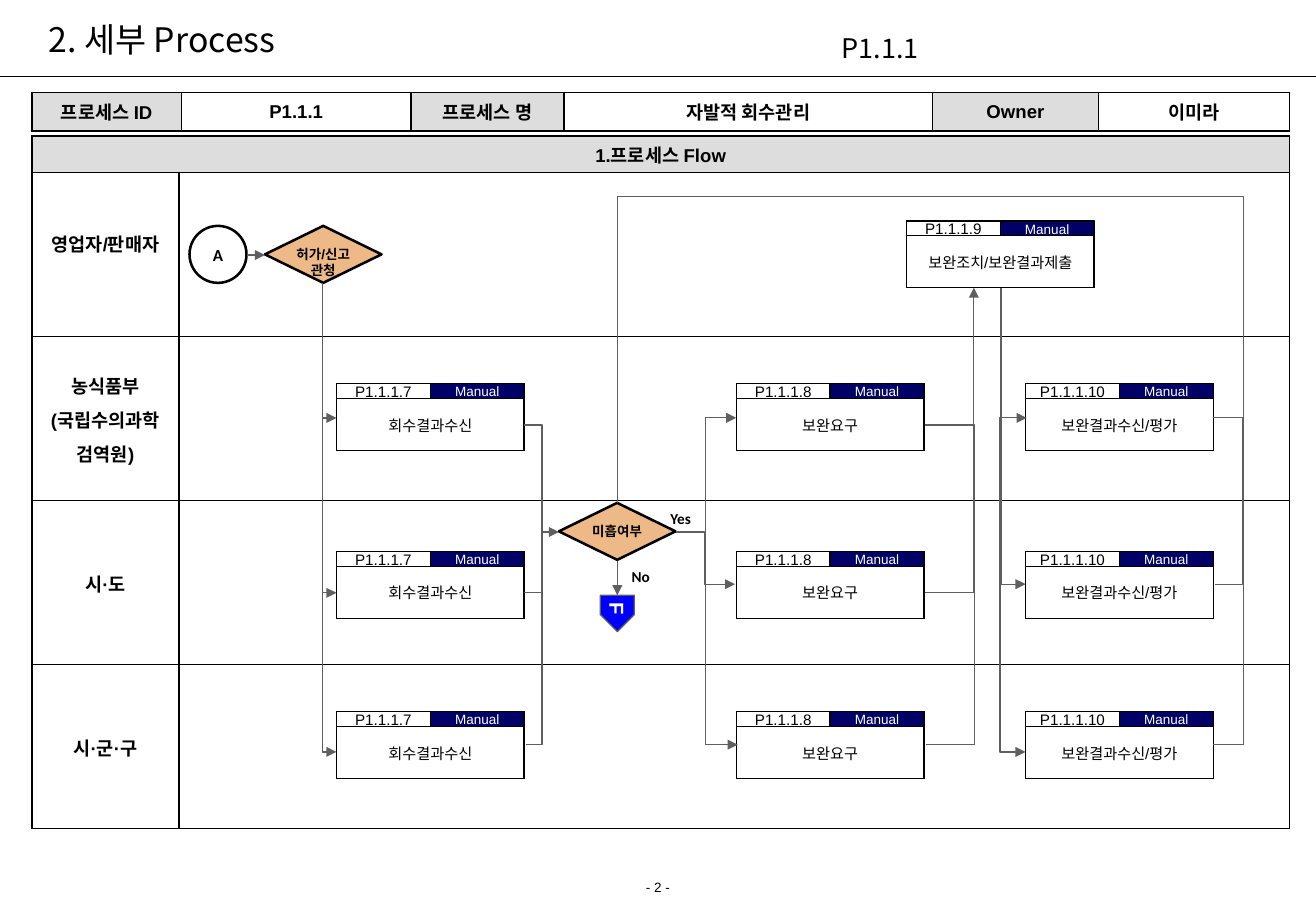
from pptx import Presentation
from pptx.dml.color import RGBColor
from pptx.enum import shapes, text
from pptx.oxml import parse_xml
from pptx.oxml.ns import nsdecls, qn
from pptx.util import Pt

BLACK = RGBColor(0, 0, 0)
WHITE = RGBColor(255, 255, 255)
GREY = RGBColor(0xDD, 0xDD, 0xDD)
NAVY = RGBColor(0, 0, 0x66)
SAND = RGBColor(0xED, 0xBA, 0x87)
BLUE = RGBColor(0, 0, 255)
WIRE = RGBColor(0x5F, 0x5F, 0x5F)
NOTO = "Noto Sans CJK KR"
KIND = shapes.MSO_SHAPE
MID, TOP = text.MSO_ANCHOR.MIDDLE, text.MSO_ANCHOR.TOP
LEFT, MIDST = text.PP_ALIGN.LEFT, text.PP_ALIGN.CENTER

# Content: tables
WIDE, HIGH = 779.8, 540
HEAD = ["프로세스 ID", "P1.1.1", "프로세스 명", "자발적 회수관리", "Owner", "이미라"]
HEAD_W = [88.6, 136.1, 90.7, 218.2, 98.6, 113]
FLOW = "1.프로세스 Flow"
LANES = [["영업자/판매자"], ["농식품부", "(국립수의과학", "검역원)"], ["시·도"], ["시·군·구"]]
LANE_W = [87.1, 658.1]
FLOW_H, LANE_H = 21.6, 97.2

# Content: step boxes, as (left, code, label) for each column
STEPS = [
    (199.4, "P1.1.1.7", "회수결과수신"),
    (436.3, "P1.1.1.8", "보완요구"),
    (607.7, "P1.1.1.10", "보완결과수신/평가"),
]
ROWS = [227.5, 326.9, 421.9]
FIX = (537.1, "P1.1.1.9", "보완조치/보완결과제출")
FIX_TOP = 131
BOX_W, BOX_H, TAB_H = 111.2, 39.6, 8.8

# Content: free text, as (left, top, width, height, words, format)
NOTES = [
    (0, 517.7, WIDE, 17.3, "- 2 -", dict(size=8, align=MIDST)),
    (21.6, 3.6, 493.2, 39.6, "2. 세부 Process", dict(size=20, face=NOTO, anchor=MID)),
    (491.8, 15.1, 226.8, 25.9, "P1.1.1", dict(size=16, face=NOTO)),
    (390.2, 298.1, 39.6, 17.3, "Yes", dict(size=9, face="Calibri", bold=True)),
    (367.2, 332.6, 39.6, 17.3, "No", dict(size=9, face="Calibri", bold=True)),
]

# Content: nodes, as (kind, left, top, width, height, fill, lines, format)
GATE = dict(size=8, bold=True, align=MIDST, wrap=False)
NODES = [
    (KIND.FLOWCHART_DECISION, 157, 133.9, 69.1, 33.8, SAND, ["허가/신고", "관청"], GATE),
    (KIND.FLOWCHART_DECISION, 331.2, 298.1, 69.1, 33.8, SAND, ["미흡여부"], GATE),
    (KIND.OVAL, 112.3, 133.9, 33.8, 33.8, None, ["A"],
     dict(size=10, face="Calibri", bold=True, align=MIDST, anchor=MID, pad=(0, 0))),
]

# Content: straight wires, as (x1, y1, x2, y2, arrow)
LINES = [
    (146.2, 151.2, 157, 151.2, True),
    (365.8, 332.6, 365.8, 352.8, True),
    (365.8, 116.6, 365.8, 298.1, False),
]
# Content: bent wires, as (x1, y1, x2, y2, x of the upright, ends with arrows)
BENDS = [(191, 167.8, 199.4, y, 191, "tail") for y in (247.7, 351.4, 445.7)] + [
    (310.3, 252, 311.8, 441.4, 321.1, ""),
    (310.3, 351.4, 331.2, 315.4, 321.1, "tail"),
    (436.3, 247.7, 437.2, 441.4, 418.3, "head tail"),
    (400.3, 315.4, 435.6, 346.3, 417.6, "tail"),
    (547.9, 252, 548.6, 441.4, 577.1, ""),
    (547.9, 351.4, 577.1, 170.6, 577.1, "tail"),
    (608.4, 247.7, 607.7, 445.7, 592.8, "head tail"),
    (593.1, 170.6, 607.7, 346.3, 593.1, "tail"),
    (718.6, 441.4, 365.8, 116.6, 736.8, ""),
    (718.6, 247.7, 720, 346.3, 736.6, ""),
]

deck = Presentation()
deck.slide_width, deck.slide_height = Pt(WIDE), Pt(HIGH)
slide = deck.slides.add_slide(deck.slide_layouts[6])
parts = slide.shapes


def write(frame, lines, size, face="Arial", bold=False, color=BLACK, align=LEFT,
          before=0, after=0, gap=1.0):
    for i, words in enumerate(lines):
        para = frame.paragraphs[0] if i == 0 else frame.add_paragraph()
        look = dict(alignment=align, space_before=Pt(before), space_after=Pt(after),
                    line_spacing=gap)
        for key, val in look.items():
            setattr(para, key, val)
        run = para.add_run()
        run.text = words
        for key, val in dict(size=Pt(size), name=face, bold=bold).items():
            setattr(run.font, key, val)
        run.font.color.rgb = color
        run.font._element.find(qn("a:latin")).addnext(
            parse_xml(f'<a:ea {nsdecls("a")} typeface="{NOTO}"/>'))


def place(frame, lines, anchor=TOP, wrap=True, pad=(7.2, 3.6), **form):
    side, edge = Pt(pad[0]), Pt(pad[1])
    look = dict(word_wrap=wrap, vertical_anchor=anchor, margin_left=side,
                margin_right=side, margin_top=edge, margin_bottom=edge)
    for key, val in look.items():
        setattr(frame, key, val)
    write(frame, lines, **form)


def shape(kind, x, y, w, h, fill, lines=(), form=None, edge=BLACK, thick=0.75):
    item = parts.add_shape(kind, Pt(x), Pt(y), Pt(w), Pt(h))
    item.shadow.inherit = False
    if fill is None:
        item.fill.background()
    else:
        item.fill.solid()
        item.fill.fore_color.rgb = fill
    item.line.color.rgb, item.line.width = edge, Pt(thick)
    if lines:
        place(item.text_frame, lines, **form)
    return item


def wire(x1, y1, x2, y2, ends="", bend=None, color=WIRE):
    kind = shapes.MSO_CONNECTOR.STRAIGHT if bend is None else shapes.MSO_CONNECTOR.ELBOW
    item = parts.add_connector(kind, Pt(x1), Pt(y1), Pt(x2), Pt(y2))
    item.line.color.rgb, item.line.width = color, Pt(0.75)
    props = item._element.spPr
    if bend is not None:
        share = round((bend - x1) / (x2 - x1) * 100000)
        guides = props.find(qn("a:prstGeom")).get_or_add_avLst()
        guides.append(parse_xml(f'<a:gd {nsdecls("a")} name="adj1" fmla="val {share}"/>'))
    for end in ends.split():
        props.find(qn("a:ln")).append(
            parse_xml(f'<a:{end}End {nsdecls("a")} type="triangle"/>'))
    props.append(parse_xml(f'<a:effectLst {nsdecls("a")}/>'))


def grid(x, y, widths, heights):
    table = parts.add_table(len(heights), len(widths), Pt(x), Pt(y),
                            Pt(sum(widths)), Pt(sum(heights))).table
    table.first_row = table.horz_banding = False
    for col, w in zip(table.columns, widths):
        col.width = Pt(w)
    for row, h in zip(table.rows, heights):
        row.height = Pt(h)
    for cell in table.iter_cells():
        cell.fill.background()
        for i, side in enumerate("LRTB"):
            cell._tc.get_or_add_tcPr().insert(i, parse_xml(
                f'<a:ln{side} {nsdecls("a")} w="12700"><a:solidFill>'
                f'<a:srgbClr val="{BLACK}"/></a:solidFill></a:ln{side}>'))
    return table


def label(cell, lines, fill, edge=0, **form):
    if fill is not None:
        cell.fill.solid()
        cell.fill.fore_color.rgb = fill
    cell.vertical_anchor = MID
    cell.margin_top = cell.margin_bottom = Pt(edge)
    write(cell.text_frame, lines, 11, bold=True, align=MIDST, **form)


def step(x, y, code, words):
    form = dict(align=MIDST, anchor=MID, pad=(0.72, 0.72), before=1.8, gap=1.04)
    half = BOX_W / 2
    shape(KIND.RECTANGLE, x, y + TAB_H, BOX_W, BOX_H - TAB_H, WHITE, [words],
          dict(form, size=9))
    shape(KIND.RECTANGLE, x, y, half, TAB_H, WHITE, [code], dict(form, size=9))
    shape(KIND.RECTANGLE, x + half, y, half, TAB_H, NAVY, ["Manual"],
          dict(form, size=8, color=WHITE))
    shape(KIND.RECTANGLE, x, y, BOX_W, BOX_H, None)


# Title rule and free text
wire(0, 45.4, WIDE, 45.4, color=BLACK)
for x, y, w, h, words, form in NOTES:
    place(parts.add_textbox(Pt(x), Pt(y), Pt(w), Pt(h)).text_frame, [words], **form)

# Tables
head = grid(18.9, 54.7, HEAD_W, [23])
for i, words in enumerate(HEAD):
    label(head.cell(0, i), [words], None if i % 2 else GREY)
lanes = grid(18.9, 80.7, LANE_W, [FLOW_H] + [LANE_H] * len(LANES))
lanes.cell(0, 0).merge(lanes.cell(0, 1))
label(lanes.cell(0, 0), [FLOW], GREY)
for i, lines in enumerate(LANES, 1):
    label(lanes.cell(i, 0), lines, WHITE, edge=3.6, after=3.3, gap=1.05)
lanes.cell(1, 0).margin_bottom = Pt(18)

# Steps and nodes
for x, code, words in STEPS:
    for y in ROWS:
        step(x, y, code, words)
step(FIX[0], FIX_TOP, *FIX[1:])
for node in NODES:
    shape(*node, thick=1.5)

# Wires and the exit flag
for x1, y1, x2, y2, arrow in LINES:
    wire(x1, y1, x2, y2, "tail" if arrow else "")
for x1, y1, x2, y2, bend, ends in BENDS:
    wire(x1, y1, x2, y2, ends, bend)
flag = shape(KIND.PENTAGON, 355, 353.5, 21.6, 20.2, BLUE, ["F"],
             dict(size=12, bold=True, color=WHITE, align=MIDST, anchor=MID,
                  wrap=False, pad=(0, 0)), edge=WIRE)
flag.rotation = 90

deck.save("out.pptx")
